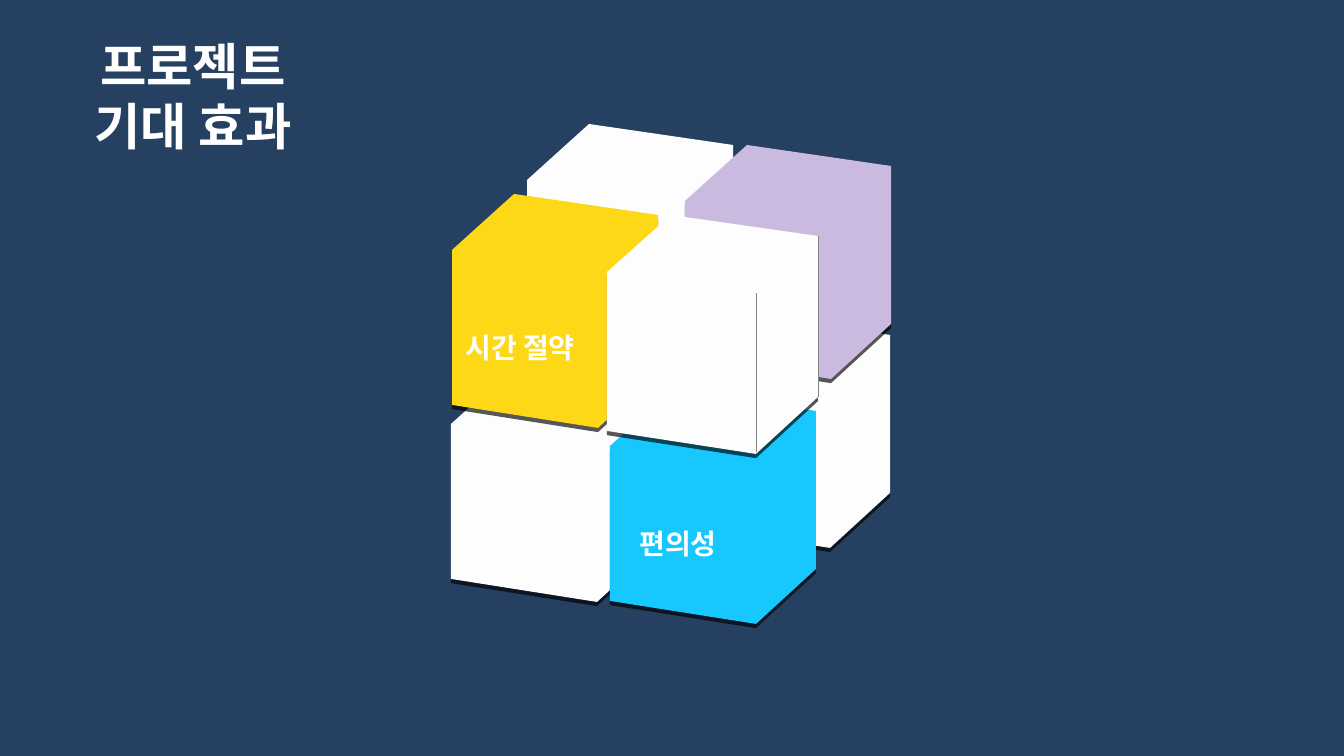
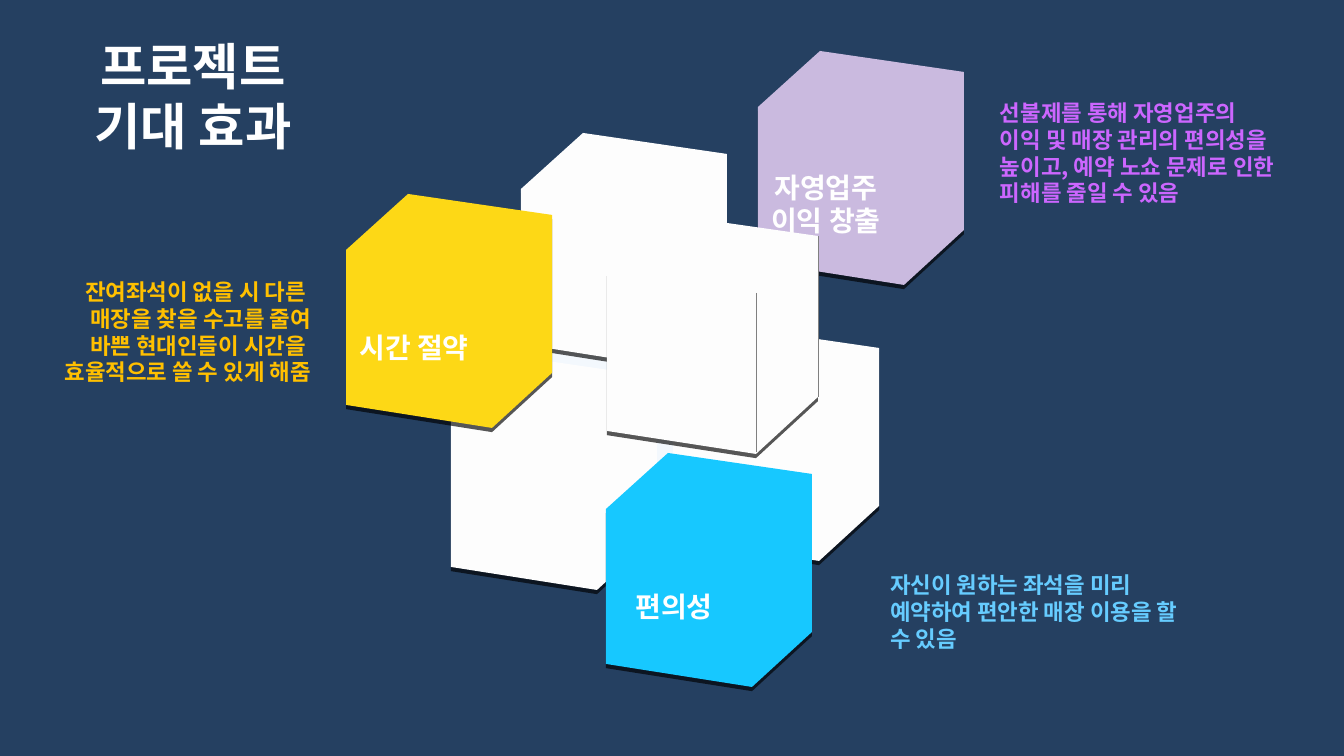
from lxml.etree import SubElement
from pptx import Presentation
from pptx.dml.color import RGBColor
from pptx.enum.text import MSO_ANCHOR, MSO_AUTO_SIZE, PP_ALIGN
from pptx.oxml.ns import qn
from pptx.util import Emu, Pt

EMU_PER_PX = 12192000 / 1344
FONT = "Noto Sans CJK KR"
NAVY, WHITE, PAPER, ICE = "254061", "FFFFFF", "FDFDFD", "F3F8FD"
YELLOW, LILAC, CYAN, EDGE = "FDD816", "CABADF", "17C8FF", "808080"
CUBE, FRONT_CUBE = 232, 237
# Corners of a turned cube, as shares of its size.
OUTLINE = [(0.05, 0.24), (0.32, 0), (0.94, 0.09),
           (0.94, 0.77), (0.68, 1.01), (0.05, 0.91)]
FRONT_EDGES = [((0.68, 0.33), (0.68, 1.0)), ((0.94, 0.09), (0.94, 0.77))]
FACE_INSET = 0.3
TITLE = ["프로젝트", "기대 효과"]


def px(length):
    return Emu(round(length * EMU_PER_PX))


def color(hex_string):
    return RGBColor.from_string(hex_string)


class CubeDeck:
    """Holds the shared style and the slide being built."""

    def __init__(self):
        self.deck = Presentation()
        self.deck.slide_width, self.deck.slide_height = px(1344), px(756)
        background = self.deck.slide_master.background.fill
        background.solid()
        background.fore_color.rgb = color(NAVY)
        self.page = None

    def add_page(self):
        self.page = self.deck.slides.add_slide(self.deck.slide_layouts[5])
        title = self.page.shapes.title
        title.left, title.top, title.width, title.height = map(px, (-53, 26, 492, 132))
        self.set_text(title.text_frame, TITLE, 36, WHITE, PP_ALIGN.CENTER)

    def set_text(self, frame, lines, size, text_color, align,
                 anchor=MSO_ANCHOR.TOP, margins=(10, 5, 10, 5)):
        """Fill a frame with bold lines; margins run left, top, right, bottom."""
        frame.word_wrap = True
        frame.auto_size = MSO_AUTO_SIZE.NONE
        frame.vertical_anchor = anchor
        left, top, right, bottom = margins
        frame.margin_left, frame.margin_right = px(left), px(right)
        frame.margin_top, frame.margin_bottom = px(top + size // 9), px(bottom)
        frame.text = "\n".join(lines)
        for para in frame.paragraphs:
            para.alignment = align
            para.line_spacing = Pt(round(size * 1.2, 1))
            para.space_before = para.space_after = Pt(0)
            font = para.font
            font.size, font.bold, font.name = Pt(size), True, FONT
            font.color.rgb = color(text_color)
            defaults = para._p.pPr.find(qn("a:defRPr"))
            SubElement(defaults, qn("a:ea"), typeface=FONT)

    def add_cube(self, left, top, fill, label=(), size=CUBE):
        points = [(round(left + x * size), round(top + y * size)) for x, y in OUTLINE]
        builder = self.page.shapes.build_freeform(*points[0], scale=EMU_PER_PX)
        builder.add_line_segments(points[1:], close=True)
        cube = builder.convert_to_shape()
        cube.fill.solid()
        cube.fill.fore_color.rgb = color(fill)
        cube.line.fill.background()
        self.add_shadow(cube)
        if label:
            inset = round(size * FACE_INSET)
            self.set_text(cube.text_frame, label, 20, WHITE, PP_ALIGN.CENTER,
                          MSO_ANCHOR.MIDDLE, (0, inset, inset, 0))

    def add_shadow(self, shape):
        shape.shadow.inherit = False
        effects = shape._element.spPr.find(qn("a:effectLst"))
        shadow = SubElement(effects, qn("a:outerShdw"), blurRad="0",
                            dist=str(int(Pt(3))), dir="5400000", rotWithShape="0")
        black = SubElement(shadow, qn("a:srgbClr"), val="000000")
        SubElement(black, qn("a:alpha"), val="65000")

    def add_front_cube(self, left, top):
        self.add_cube(left, top, PAPER, size=FRONT_CUBE)
        for (x1, y1), (x2, y2) in FRONT_EDGES:
            self.add_edge(*(round(start + share * FRONT_CUBE) for start, share in
                            ((left, x1), (top, y1), (left, x2), (top, y2))))

    def add_edge(self, x1, y1, x2, y2):
        edge = self.page.shapes.add_connector(1, px(x1), px(y1), px(x2), px(y2))
        edge.line.color.rgb = color(EDGE)
        edge.line.width = Pt(0.5)
        SubElement(edge._element.spPr, qn("a:effectLst"))

    def add_note(self, left, top, width, height, lines, text_color, align=PP_ALIGN.LEFT):
        box = self.page.shapes.add_textbox(px(left), px(top), px(width), px(height))
        self.set_text(box.text_frame, lines, 16, text_color, align)


def add_closed_cube(show):
    show.add_page()
    for cube in [
        (509, 294, ICE),
        (672, 314, PAPER),
        (439, 368, PAPER),
        (598, 390, CYAN, ["편의성"]),
        (515, 124, PAPER),
        (673, 145, LILAC),
        (440, 194, YELLOW, ["시간 절약"]),
    ]:
        show.add_cube(*cube)
    show.add_front_cube(595, 215)


def add_open_cube(show):
    show.add_page()
    for cube in [
        (509, 294, ICE),
        (661, 327, PAPER),
        (439, 356, PAPER),
        (594, 453, CYAN, ["편의성"]),
        (509, 133, PAPER),
        (746, 51, LILAC, ["자영업주", "이익 창출"]),
        (334, 194, YELLOW, ["시간 절약"]),
    ]:
        show.add_cube(*cube)
    show.add_front_cube(595, 215)
    show.add_note(990, 93, 328, 119, [
        "선불제를 통해 자영업주의",
        "이익 및 매장 관리의 편의성을 높이고, 예약 노쇼 문제로 인한 피해를 줄일 수 있음",
    ], "CC66FF")
    show.add_note(880, 565, 328, 92, [
        "자신이 원하는 좌석을 미리 예약하여 편안한 매장 이용을 할 수 있음",
    ], "66CCFF")
    show.add_note(21, 272, 300, 119, [
        "잔여좌석이 없을 시 다른 ",
        "매장을 찾을 수고를 줄여",
        "바쁜 현대인들이 시간을 ",
        "효율적으로 쓸 수 있게 해줌",
    ], "FFC000", PP_ALIGN.RIGHT)


def main():
    show = CubeDeck()
    add_closed_cube(show)
    add_open_cube(show)
    show.deck.save("out.pptx")


if __name__ == "__main__":
    main()
